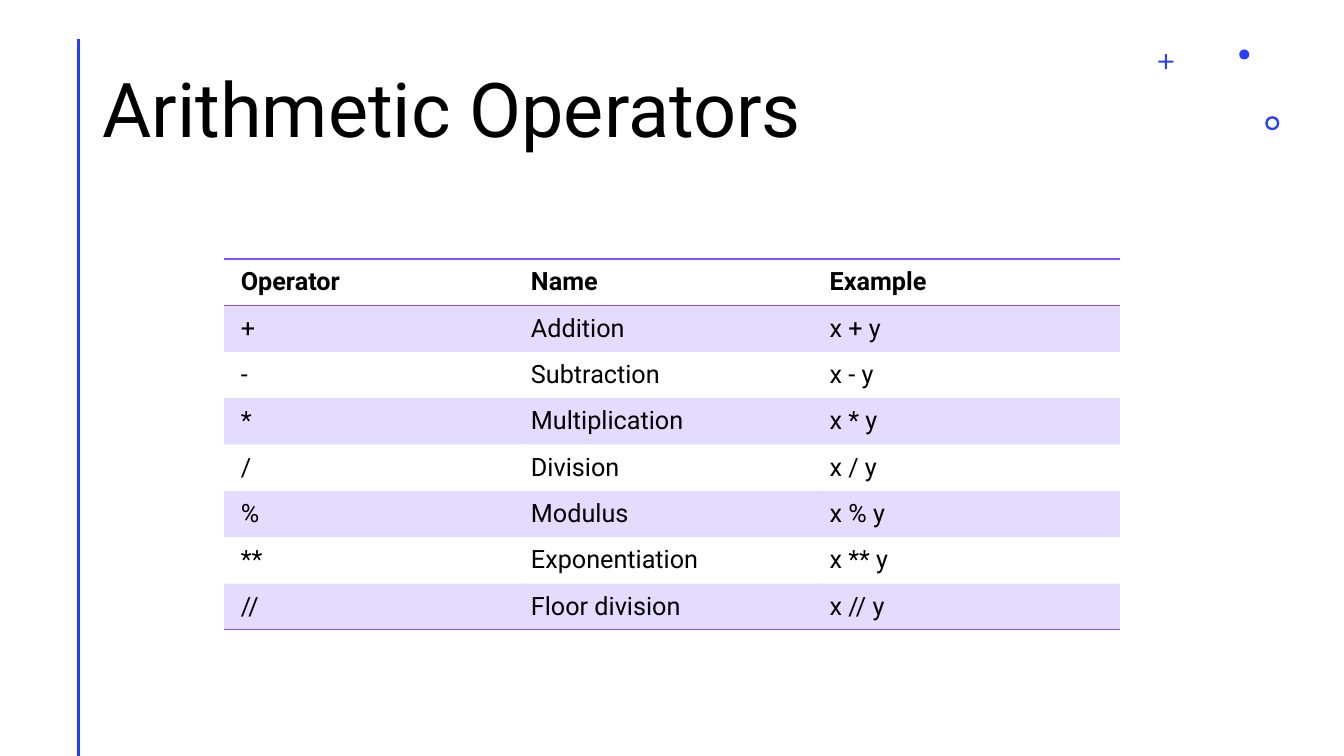
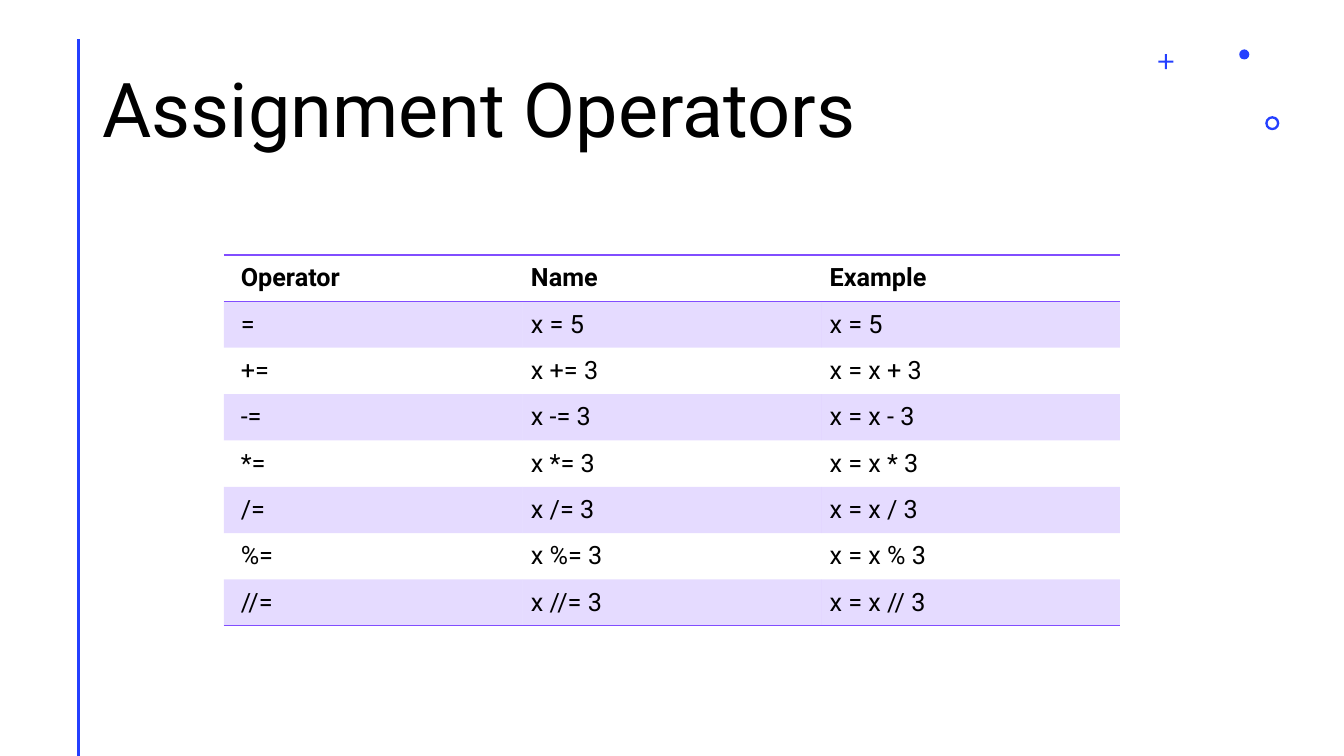
"""Builds two slides that tabulate arithmetic and assignment operators."""
from dataclasses import dataclass

import lxml.etree
import pptx
import pptx.dml.color
import pptx.enum.dml
import pptx.enum.shapes
import pptx.enum.text
import pptx.oxml.ns
import pptx.util

BLACK = pptx.dml.color.RGBColor(0x00, 0x00, 0x00)
BLUE = pptx.dml.color.RGBColor(0x24, 0x3F, 0xFF)
PURPLE = pptx.dml.color.RGBColor(0x81, 0x4D, 0xFF)
FONT = "Roboto"
TITLE_SIZE = pptx.util.Pt(54)
TABLE_SIZE = pptx.util.Pt(18)
BORDER_WIDTH = pptx.util.Pt(1)
BAND_OPACITY = 20
PLAIN_TABLE_STYLE = "{2D5ABB26-0587-4C30-8999-92F81FD0307C}"

SLIDE_WIDTH = pptx.util.Emu(12192000)
SLIDE_HEIGHT = pptx.util.Emu(6858000)
GRID_COLUMNS = 120
GRID_ROWS = 67.5

RULE_COLUMN, RULE_ROW = 7, 3.5
TITLE_COLUMN, TITLE_ROW, TITLE_COLUMNS, TITLE_ROWS = 8.25, 3.6, 103.5, 13.05
TABLE_COLUMN, TABLE_COLUMNS, TABLE_ROW_HEIGHT = 20, 80, 4.14
CELL_MARGIN = 0.75
FIRST_CELL_MARGIN = 2 * CELL_MARGIN

HEADINGS = ("Operator", "Name", "Example")


@dataclass(frozen=True)
class Ornament:
    kind: pptx.enum.shapes.MSO_SHAPE
    center_column: float
    center_row: float
    size: float
    adjustment: float | None = None


@dataclass(frozen=True)
class OperatorSlide:
    title: str
    table_row: float
    rows: tuple[tuple[str, str, str], ...]


ORNAMENTS = (
    Ornament(pptx.enum.shapes.MSO_SHAPE.CROSS, 104.1, 5.5, 1.35, 0.43),
    Ornament(pptx.enum.shapes.MSO_SHAPE.DONUT, 113.6, 11, 1.26, 0.17),
    Ornament(pptx.enum.shapes.MSO_SHAPE.OVAL, 111.1, 4.86, 0.9),
)

ARITHMETIC = (
    ("+", "Addition"),
    ("-", "Subtraction"),
    ("*", "Multiplication"),
    ("/", "Division"),
    ("%", "Modulus"),
    ("**", "Exponentiation"),
    ("//", "Floor division"),
)
AUGMENTED = ("+", "-", "*", "/", "%", "//")

SLIDES = (
    OperatorSlide(
        "Arithmetic Operators",
        23.13,
        tuple((sign, name, f"x {sign} y") for sign, name in ARITHMETIC),
    ),
    OperatorSlide(
        "Assignment Operators",
        22.77,
        (("=", "x = 5", "x = 5"),)
        + tuple((f"{sign}=", f"x {sign}= 3", f"x = x {sign} 3") for sign in AUGMENTED),
    ),
)


def across(columns: float) -> pptx.util.Emu:
    return pptx.util.Emu(round(SLIDE_WIDTH * columns / GRID_COLUMNS))


def down(rows: float) -> pptx.util.Emu:
    return pptx.util.Emu(round(SLIDE_HEIGHT * rows / GRID_ROWS))


def add_child(parent, tag: str, **attributes: str):
    return lxml.etree.SubElement(parent, pptx.oxml.ns.qn(tag), attributes)


def draw_rule(page) -> None:
    rule = page.shapes.add_connector(
        pptx.enum.shapes.MSO_CONNECTOR.STRAIGHT,
        across(RULE_COLUMN), down(RULE_ROW), across(RULE_COLUMN), SLIDE_HEIGHT,
    )
    rule.line.color.rgb = BLUE
    rule.line.width = pptx.util.Pt(2)
    add_child(rule._element.spPr, "a:effectLst")


def draw_ornament(page, ornament: Ornament) -> None:
    shape = page.shapes.add_shape(
        ornament.kind,
        across(ornament.center_column - ornament.size / 2),
        down(ornament.center_row - ornament.size / 2),
        across(ornament.size),
        down(ornament.size),
    )
    if ornament.adjustment is not None:
        shape.adjustments[0] = ornament.adjustment
    shape.shadow.inherit = False
    shape.fill.solid()
    shape.fill.fore_color.rgb = BLUE
    shape.line.fill.background()


def style_paragraph(paragraph, size: pptx.util.Pt, bold: bool = False) -> None:
    paragraph.font.name = FONT
    paragraph.font.size = size
    paragraph.font.bold = bold
    paragraph.font.color.rgb = BLACK
    paragraph.alignment = pptx.enum.text.PP_ALIGN.LEFT


def write_title(page, text: str) -> None:
    title = page.shapes.title
    title.left, title.top = across(TITLE_COLUMN), down(TITLE_ROW)
    title.width, title.height = across(TITLE_COLUMNS), down(TITLE_ROWS)
    frame = title.text_frame
    frame.text = text
    frame.word_wrap = True
    frame.auto_size = pptx.enum.text.MSO_AUTO_SIZE.NONE
    frame.vertical_anchor = pptx.enum.text.MSO_ANCHOR.MIDDLE
    style_paragraph(frame.paragraphs[0], TITLE_SIZE)
    frame.paragraphs[0].line_spacing = 0.9


def add_border(cell, side: str) -> None:
    line = add_child(cell._tc.get_or_add_tcPr(), side, w=str(BORDER_WIDTH))
    add_child(add_child(line, "a:solidFill"), "a:srgbClr", val=str(PURPLE))


def fill_cell(cell, banded: bool) -> None:
    if not banded:
        cell.fill.background()
        return
    cell.fill.solid()
    cell.fill.fore_color.rgb = PURPLE
    color = cell._tc.tcPr.find(".//" + pptx.oxml.ns.qn("a:solidFill") + "[last()]")
    band = [child for child in cell._tc.tcPr if child.tag == color.tag][0]
    add_child(band[0], "a:alpha", val=str(BAND_OPACITY * 1000))


def write_cell(cell, text: str, row: int, column: int, last_row: int) -> None:
    cell.text = text
    cell.margin_left = across(CELL_MARGIN if column else FIRST_CELL_MARGIN)
    cell.margin_right = across(CELL_MARGIN)
    cell.margin_top = cell.margin_bottom = down(CELL_MARGIN)
    style_paragraph(cell.text_frame.paragraphs[0], TABLE_SIZE, bold=row == 0)
    if row == 0:
        add_border(cell, "a:lnT")
    if row in (0, last_row):
        add_border(cell, "a:lnB")
    fill_cell(cell, banded=row % 2 == 1)


def draw_table(page, content: OperatorSlide) -> None:
    rows = (HEADINGS, *content.rows)
    table = page.shapes.add_table(
        len(rows), len(HEADINGS),
        across(TABLE_COLUMN), down(content.table_row),
        across(TABLE_COLUMNS), down(TABLE_ROW_HEIGHT * len(rows)),
    ).table
    table.horz_banding = False
    table._tbl.tblPr.find(pptx.oxml.ns.qn("a:tableStyleId")).text = PLAIN_TABLE_STYLE
    for row, texts in enumerate(rows):
        for column, text in enumerate(texts):
            write_cell(table.cell(row, column), text, row, column, len(rows) - 1)


def build_slide(deck, content: OperatorSlide) -> None:
    page = deck.slides.add_slide(deck.slide_layouts.get_by_name("Title Only"))
    draw_rule(page)
    for ornament in ORNAMENTS:
        draw_ornament(page, ornament)
    write_title(page, content.title)
    draw_table(page, content)


def main() -> None:
    deck = pptx.Presentation()
    deck.slide_width, deck.slide_height = SLIDE_WIDTH, SLIDE_HEIGHT
    for content in SLIDES:
        build_slide(deck, content)
    deck.save("out.pptx")


if __name__ == "__main__":
    main()
